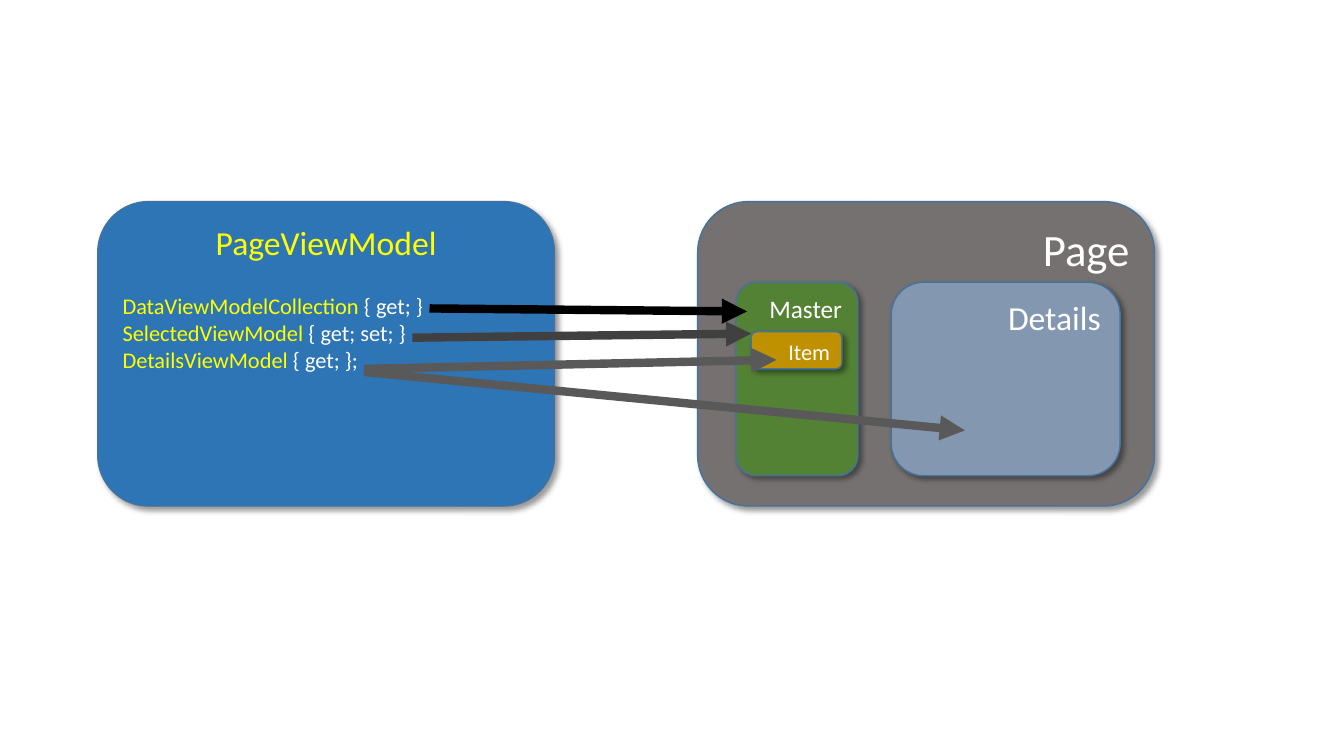
import lxml.etree
import pptx
import pptx.dml.color
import pptx.enum.shapes
import pptx.enum.text
import pptx.oxml
import pptx.oxml.ns
import pptx.util

Inches = pptx.util.Inches
Pt = pptx.util.Pt
RGBColor = pptx.dml.color.RGBColor
ALIGN = pptx.enum.text.PP_ALIGN

WHITE = RGBColor(0xFF, 0xFF, 0xFF)
YELLOW = RGBColor(0xFF, 0xFF, 0x00)
BLACK = RGBColor(0x00, 0x00, 0x00)
DARK_GRAY = RGBColor(0x40, 0x40, 0x40)
MID_GRAY = RGBColor(0x59, 0x59, 0x59)
OUTLINE = RGBColor(0x43, 0x73, 0x9E)
VIEW_MODEL_BLUE = RGBColor(0x2E, 0x75, 0xB6)
PAGE_GRAY = RGBColor(0x76, 0x71, 0x71)
MASTER_GREEN = RGBColor(0x54, 0x82, 0x35)
DETAILS_BLUE = RGBColor(0x84, 0x97, 0xB0)
ITEM_GOLD = RGBColor(0xBF, 0x90, 0x00)

FONT = "Calibri"
VIEW_MODEL_BOX = (0.97, 2, 4.53, 3.02)
PAGE_BOX = (6.92, 2, 4.53, 3.02)

PROPERTIES = [
    ("DataViewModelCollection ", "{ get; }"),
    ("SelectedViewModel ", "{ get; set; }"),
    ("DetailsViewModel ", "{ get; };"),
]
PAGE_PARTS = [
    ((0.38, 0.8, 1.21, 1.92), MASTER_GREEN, "Master", 18),
    ((1.92, 0.8, 2.27, 1.92), DETAILS_BLUE, "Details", 24),
    ((0.53, 1.29, 0.9, 0.37), ITEM_GOLD, "Item", 16),
]
BINDINGS = [
    ((2.64, 1.69), (8.6, 2.27), MID_GRAY),
    ((3.12, 1.35), (6.48, 1.31), DARK_GRAY),
    ((3.29, 1.06), (6.44, 1.09), BLACK),
    ((2.64, 1.66), (6.73, 1.57), MID_GRAY),
]
SHADOW = (
    f'<a:effectLst {pptx.oxml.ns.nsdecls("a")}>'
    '<a:outerShdw blurRad="50800" dist="38100" dir="2700000" algn="tl" rotWithShape="0">'
    '<a:srgbClr val="000000"><a:alpha val="40000"/></a:srgbClr>'
    "</a:outerShdw></a:effectLst>"
)


def add_run(paragraph, text, size, color):
    """Append one formatted run to a paragraph."""
    run = paragraph.add_run()
    run.text = text
    run.font.name = FONT
    run.font.size = Pt(size)
    run.font.color.rgb = color


def add_panel(slide, box, fill, title, size, color=WHITE, align=ALIGN.RIGHT):
    """Add a shadowed rounded panel with its title and return its text frame."""
    shape = slide.shapes.add_shape(
        pptx.enum.shapes.MSO_SHAPE.ROUNDED_RECTANGLE, *map(Inches, box))
    shape.fill.solid()
    shape.fill.fore_color.rgb = fill
    shape.line.color.rgb = OUTLINE
    shape.line.width = Pt(1)
    shape._element.spPr.append(pptx.oxml.parse_xml(SHADOW))
    frame = shape.text_frame
    frame.word_wrap = True
    frame.vertical_anchor = pptx.enum.text.MSO_ANCHOR.TOP
    paragraph = frame.paragraphs[0]
    paragraph.alignment = align
    add_run(paragraph, title, size, color)
    return frame


def add_view_model(slide, box):
    """Add the view model panel with its list of properties."""
    frame = add_panel(slide, box, VIEW_MODEL_BLUE, "PageViewModel", 24, YELLOW, ALIGN.CENTER)
    for index, (name, accessors) in enumerate(PROPERTIES):
        paragraph = frame.add_paragraph()
        paragraph.alignment = ALIGN.LEFT
        paragraph.space_before = Pt(0 if index else 22)
        add_run(paragraph, name, 16, YELLOW)
        add_run(paragraph, accessors, 16, WHITE)


def add_page(slide, box):
    """Add the page panel and the parts nested in it."""
    add_panel(slide, box, PAGE_GRAY, "Page", 32)
    for (left, top, width, height), fill, title, size in PAGE_PARTS:
        part_box = (box[0] + left, box[1] + top, width, height)
        add_panel(slide, part_box, fill, title, size)


def add_bindings(slide, box):
    """Add the arrows that lead from the view model box to the page parts."""
    left, top = box[:2]
    for (start_x, start_y), (end_x, end_y), color in BINDINGS:
        connector = slide.shapes.add_connector(
            pptx.enum.shapes.MSO_CONNECTOR.STRAIGHT,
            Inches(left + start_x), Inches(top + start_y),
            Inches(left + end_x), Inches(top + end_y))
        connector.line.color.rgb = color
        connector.line.width = Pt(6)
        qn = pptx.oxml.ns.qn
        lxml.etree.SubElement(connector.line._get_or_add_ln(), qn("a:tailEnd"), type="triangle")
        lxml.etree.SubElement(connector._element.spPr, qn("a:effectLst"))


def main():
    """Build the binding diagram slide and save it."""
    presentation = pptx.Presentation()
    presentation.slide_width = Inches(13.33)
    presentation.slide_height = Inches(7.5)
    slide = presentation.slides.add_slide(presentation.slide_layouts[6])
    add_view_model(slide, VIEW_MODEL_BOX)
    add_page(slide, PAGE_BOX)
    add_bindings(slide, VIEW_MODEL_BOX)
    presentation.save("out.pptx")


main()
